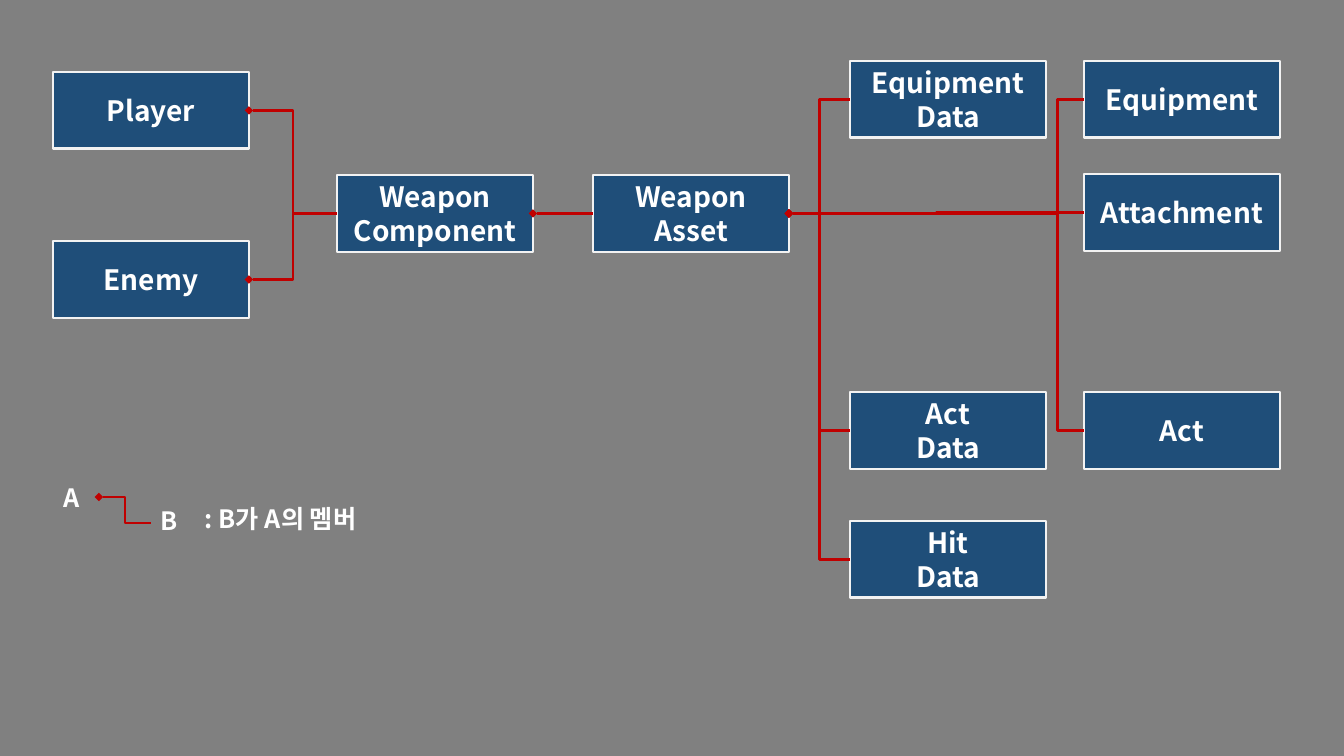
from pptx import Presentation
from pptx.dml.color import RGBColor
from pptx.enum.shapes import MSO_CONNECTOR, MSO_SHAPE
from pptx.enum.text import MSO_ANCHOR, MSO_AUTO_SIZE, PP_ALIGN
from pptx.oxml.ns import qn
from pptx.util import Pt
from lxml.etree import SubElement

SCALE = 914400 / 100.8
COLORS = {
    "background": "808080",
    "box": "1F4E79",
    "border": "F2F2F2",
    "link": "C00000",
    "text": "FFFFFF",
}
FONT = "Noto Sans CJK KR"
BOX_WIDTH, BOX_HEIGHT = 196, 77
LEFT, RIGHT = 1, 3


def px(value):
    return round(value * SCALE)


def color(name):
    return RGBColor.from_string(COLORS[name])


def write(frame, text, size=20, align=PP_ALIGN.CENTER):
    for index, line in enumerate(text.split("\n")):
        para = frame.add_paragraph() if index else frame.paragraphs[0]
        para.alignment = align
        span = para.add_run()
        span.text = line
        span.font.size = Pt(size)
        span.font.bold = True
        span.font.color.rgb = color("text")
        span.font.name = FONT
        SubElement(span.font._element, qn("a:ea"), typeface=FONT)


class Diagram:
    def __init__(self, page):
        self.page = page
        fill = page.background.fill
        fill.solid()
        fill.fore_color.rgb = color("background")

    def box(self, text, left, top):
        box = self.page.shapes.add_shape(
            MSO_SHAPE.RECTANGLE, px(left), px(top), px(BOX_WIDTH), px(BOX_HEIGHT))
        box.shadow.inherit = False
        box.fill.solid()
        box.fill.fore_color.rgb = color("box")
        box.line.color.rgb = color("border")
        box.line.width = Pt(2)
        box.text_frame.word_wrap = True
        box.text_frame.vertical_anchor = MSO_ANCHOR.MIDDLE
        write(box.text_frame, text)
        return box

    def line(self, start, end, kind=MSO_CONNECTOR.ELBOW, bend=0.5):
        link = self.page.shapes.add_connector(kind, *map(px, start + end))
        link.line.color.rgb = color("link")
        link.line.width = Pt(2)
        SubElement(link.line._get_or_add_ln(), qn("a:tailEnd"), type="diamond")
        properties = link._element.spPr
        SubElement(properties, qn("a:effectLst"))
        if bend != 0.5:
            guides = properties.find(qn("a:prstGeom")).find(qn("a:avLst"))
            SubElement(guides, qn("a:gd"), name="adj1", fmla=f"val {round(bend * 100000)}")
        return link

    def join(self, member, owner, **style):
        link = self.line((0, 0), (0, 0), **style)
        link.begin_connect(member, LEFT)
        link.end_connect(owner, RIGHT)

    def label(self, text, left, top, width, wrap=True, align=PP_ALIGN.CENTER):
        box = self.page.shapes.add_textbox(px(left), px(top), px(width), px(40))
        box.text_frame.word_wrap = wrap
        box.text_frame.auto_size = MSO_AUTO_SIZE.SHAPE_TO_FIT_TEXT
        write(box.text_frame, text, size=18, align=align)


def main():
    deck = Presentation()
    deck.slide_width, deck.slide_height = px(1344), px(756)
    diagram = Diagram(deck.slides.add_slide(deck.slide_layouts[6]))

    component = diagram.box("Weapon\nComponent", 337, 175)
    asset = diagram.box("Weapon\nAsset", 593, 175)
    owners = [diagram.box(text, 53, top) for text, top in (("Player", 72), ("Enemy", 241))]
    data = [diagram.box(f"{text}\nData", 850, top)
            for text, top in (("Equipment", 61), ("Act", 392), ("Hit", 521))]
    objects = [diagram.box(text, 1084, top)
               for text, top in (("Equipment", 61), ("Attachment", 174), ("Act", 392))]

    diagram.join(asset, component, kind=MSO_CONNECTOR.STRAIGHT)
    for owner in owners:
        diagram.join(component, owner)
    for member in data:
        diagram.join(member, asset)
    for member, bend in zip(objects, (0.089, 0.5, 0.089)):
        diagram.join(member, asset, bend=bend)

    diagram.line((151, 523), (99, 497))
    diagram.label("A", 53, 477, 38)
    diagram.label("B", 151, 500, 36, wrap=False)
    diagram.label(": B가 A의 멤버", 195, 498, 225, align=PP_ALIGN.LEFT)

    deck.save("out.pptx")


if __name__ == "__main__":
    main()
